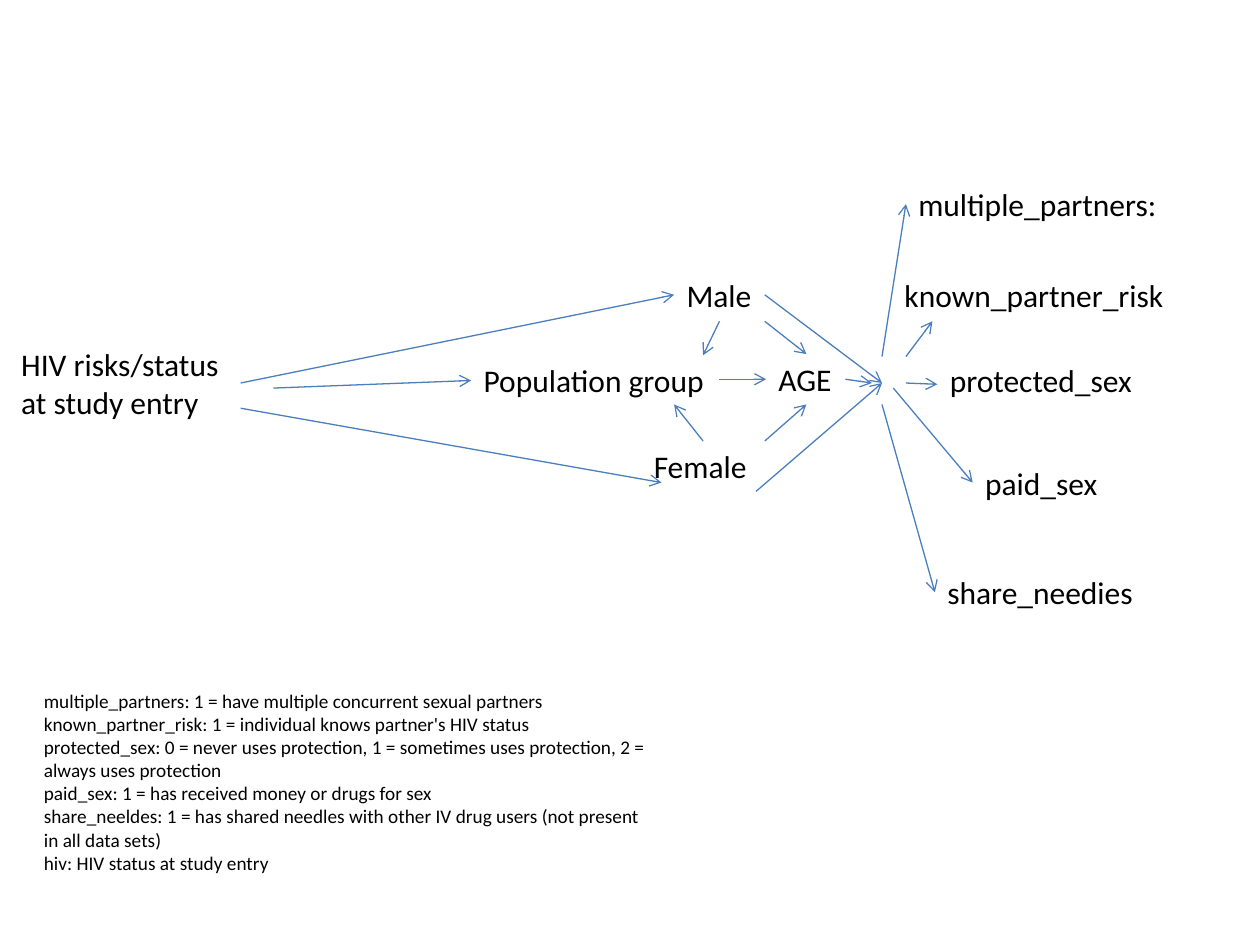
from dataclasses import dataclass

from lxml.etree import SubElement
from pptx import Presentation
from pptx.dml.color import RGBColor
from pptx.enum.shapes import MSO_CONNECTOR
from pptx.enum.text import MSO_AUTO_SIZE, PP_ALIGN
from pptx.oxml.ns import qn
from pptx.slide import Slide
from pptx.util import Emu, Inches, Pt

# Grid of 100 columns by 75 rows over the slide
COLUMNS, ROWS = 100, 75
SLIDE_WIDTH, SLIDE_HEIGHT = Inches(10), Inches(7.5)
COLORS = {"text": "000000", "arrow": "4B7EBC"}
FONT = "Calibri"
LINE_HEIGHT = 4.0


@dataclass
class Label:
    lines: list[str]
    column: float
    row: float
    width: float
    height: float = LINE_HEIGHT
    size: int = 18
    wrap: bool = False


@dataclass
class Arrow:
    start: tuple[float, float]
    end: tuple[float, float]


# Variables of the diagram, from left to right
LABELS = [
    Label(["HIV risks/status", "at study entry"], 0.7, 26.9, 18.4, 7.1),
    Label(["Population group"], 37.4, 28.2, 19.7),
    Label(["Male"], 53.5, 21.4, 7.2),
    Label(["Female"], 50.9, 35, 12.5, wrap=True),
    Label(["AGE"], 60.8, 28.1, 6.3),
    Label(["multiple_partners:"], 71.9, 14.2, 21.7),
    Label(["known_partner_risk"], 70.8, 21.4, 22.8),
    Label(["protected_sex"], 74.4, 28.2, 16.6),
    Label(["paid_sex"], 77.2, 36.3, 11),
    Label(["share_needies"], 74.2, 45, 16.9),
]

# Explanation of the variable codes
LEGEND = Label(
    [
        "multiple_partners: 1 = have multiple concurrent sexual partners",
        "known_partner_risk: 1 = individual knows partner's HIV status",
        "protected_sex: 0 = never uses protection, 1 = sometimes uses protection, "
        "2 = always uses protection",
        "paid_sex: 1 = has received money or drugs for sex",
        "share_neeldes: 1 = has shared needles with other IV drug users "
        "(not present in all data sets)",
        "hiv: HIV status at study entry",
    ],
    2.5, 54.2, 50, 15.8, size=11, wrap=True,
)

HUB = (70, 30.4)  # where the paths meet before the risk variables
ARROWS = [
    # Study entry to the groups
    Arrow((19.1, 30.4), (53.5, 23.4)),
    Arrow((21.7, 30.8), (37.4, 30.2)),
    Arrow((19.1, 32.4), (52.5, 38.3)),
    # Between sex, population group and age
    Arrow((57.1, 25.5), (55.8, 28.2)),
    Arrow((55.8, 35), (53.5, 32.1)),
    Arrow((57.1, 30.1), (60.8, 30.1)),
    Arrow((60.7, 25.5), (64, 28.1)),
    Arrow((60.7, 35), (64, 32.1)),
    # Into the hub
    Arrow((60.7, 23.4), HUB),
    Arrow((60, 39), HUB),
    Arrow((67.1, 30.1), (69.2, 30.4)),
    # Out to the risk variables
    Arrow((70, 28.3), (71.9, 16.2)),
    Arrow((71.9, 28.3), (74, 25.5)),
    Arrow((71.9, 30.4), (74.4, 30.5)),
    Arrow((70.9, 30.8), (77.2, 38.3)),
    Arrow((70, 32.1), (74.2, 47)),
]


def across(columns: float) -> Emu:
    return Emu(round(SLIDE_WIDTH * columns / COLUMNS))


def down(rows: float) -> Emu:
    return Emu(round(SLIDE_HEIGHT * rows / ROWS))


def draw_label(slide: Slide, label: Label) -> None:
    shape = slide.shapes.add_textbox(
        across(label.column), down(label.row), across(label.width), down(label.height)
    )
    frame = shape.text_frame
    frame.word_wrap = label.wrap
    frame.auto_size = MSO_AUTO_SIZE.SHAPE_TO_FIT_TEXT
    for index, line in enumerate(label.lines):
        paragraph = frame.add_paragraph() if index else frame.paragraphs[0]
        paragraph.alignment = PP_ALIGN.LEFT
        run = paragraph.add_run()
        run.text = line
        run.font.name = FONT
        run.font.size = Pt(label.size)
        run.font.color.rgb = RGBColor.from_string(COLORS["text"])


def draw_arrow(slide: Slide, arrow: Arrow) -> None:
    connector = slide.shapes.add_connector(
        MSO_CONNECTOR.STRAIGHT,
        across(arrow.start[0]), down(arrow.start[1]),
        across(arrow.end[0]), down(arrow.end[1]),
    )
    connector.line.color.rgb = RGBColor.from_string(COLORS["arrow"])
    connector.line.width = Pt(0.75)
    # Open arrowhead, no shadow
    properties = connector.line._get_or_add_ln()
    SubElement(properties, qn("a:tailEnd"), type="arrow")
    SubElement(connector._element.spPr, qn("a:effectLst"))


def main() -> None:
    presentation = Presentation()
    presentation.slide_width = SLIDE_WIDTH
    presentation.slide_height = SLIDE_HEIGHT
    slide = presentation.slides.add_slide(presentation.slide_layouts[6])
    for label in [*LABELS, LEGEND]:
        draw_label(slide, label)
    for arrow in ARROWS:
        draw_arrow(slide, arrow)
    presentation.save("out.pptx")


if __name__ == "__main__":
    main()
